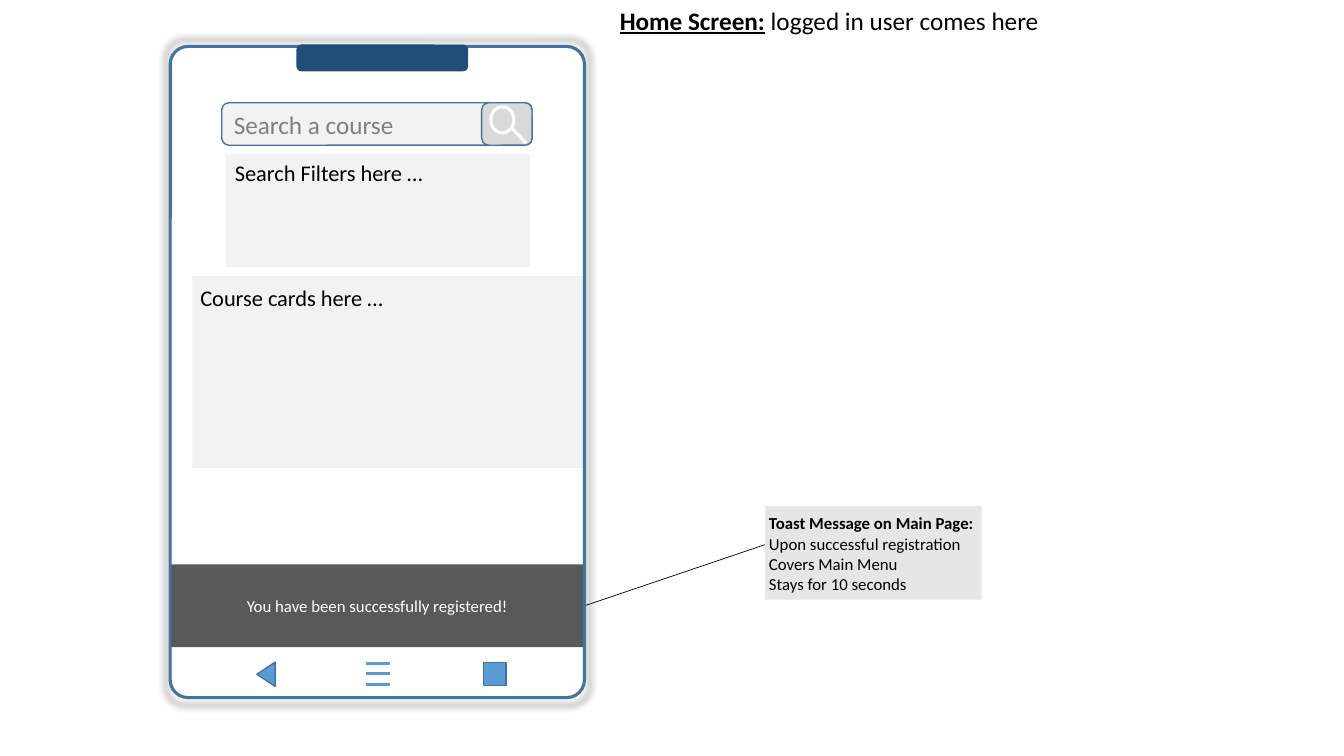
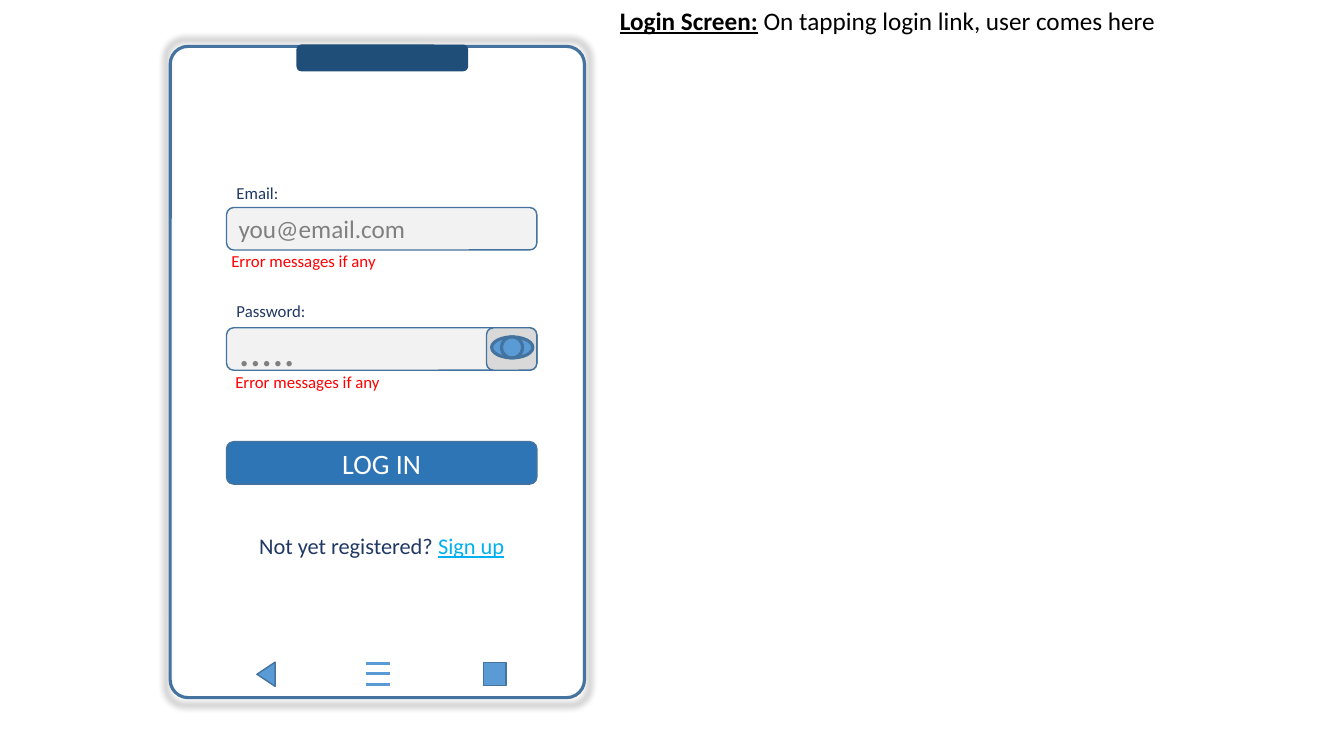
from lxml import etree
from pptx import Presentation
from pptx.dml.color import RGBColor
from pptx.enum.shapes import MSO_CONNECTOR as LINE, MSO_SHAPE as SHAPE
from pptx.enum.text import MSO_ANCHOR as ANCHOR, PP_ALIGN as ALIGN
from pptx.oxml import parse_xml
from pptx.oxml.ns import qn
from pptx.util import Cm, Pt

COLORS = {
    "black": "000000", "white": "FFFFFF", "panel": "F2F2F2", "key": "D9D9D9",
    "note": "E7E6E6", "toast": "595959", "hint": "808080", "outline": "43739E",
    "notch": "1F4E79", "icon": "5B9BD5", "button": "2E75B6", "label": "203864",
    "error": "FF0000", "link": "00B0F0",
}
PHONE = (4.29, 1.17, 10.44, 16.41)
FIELD_SIZE = (7.82, 1.07)
KEY_W = 1.27
HALO = """<a:effectLst xmlns:a="http://schemas.openxmlformats.org/drawingml/2006/main">
<a:outerShdw blurRad="63500" sx="102000" sy="102000" algn="ctr" rotWithShape="0">
<a:srgbClr val="000000"><a:alpha val="40000"/></a:srgbClr></a:outerShdw></a:effectLst>"""


def rgb(name):
    """Return the named palette colour."""
    return RGBColor.from_string(COLORS[name])


def write(sp, paragraphs, align=ALIGN.LEFT, anchor=ANCHOR.TOP, **margins):
    """Fill a shape with paragraphs, each a list of (text, format) runs."""
    tf = sp.text_frame
    frame = {"word_wrap": True, "vertical_anchor": anchor}
    frame.update({f"margin_{side}": Cm(v) for side, v in margins.items()})
    for name, value in frame.items():
        setattr(tf, name, value)
    for i, runs in enumerate(paragraphs):
        p = tf.add_paragraph() if i else tf.paragraphs[0]
        p.alignment = align
        for text, fmt in runs:
            r = p.add_run()
            r.text = text
            r.font.color.rgb = rgb(fmt.get("color", "black"))
            font = {"name": "Calibri", "size": Pt(fmt["size"]),
                    "bold": fmt.get("bold"), "underline": fmt.get("underline")}
            for name, value in font.items():
                setattr(r.font, name, value)


def add_shape(s, kind, box, fill=None, line=None, width=1):
    """Add a preset shape without shadow at a box in centimetres."""
    sp = s.shapes.add_shape(kind, *map(Cm, box))
    sp.shadow.inherit = False
    if fill:
        sp.fill.solid()
        sp.fill.fore_color.rgb = rgb(fill)
    else:
        sp.fill.background()
    if line:
        sp.line.color.rgb = rgb(line)
        sp.line.width = Pt(width)
    else:
        sp.line.fill.background()
    return sp


def add_line(s, start, end, color, width):
    """Add a straight connector without shadow between two points."""
    c = s.shapes.add_connector(LINE.STRAIGHT, *map(Cm, (*start, *end)))
    c.line.color.rgb = rgb(color)
    c.line.width = Pt(width)
    etree.SubElement(c._element.spPr, qn("a:effectLst"))


def add_text(s, box, runs, align=ALIGN.LEFT):
    """Add a one-paragraph text box."""
    write(s.shapes.add_textbox(*map(Cm, box)), [runs], align)


def add_title(s, name, description):
    """Add the screen name and its description at the top."""
    add_text(s, (15.37, 0, 16, 1.02), [
        (name, {"size": 18, "bold": True, "underline": True}),
        (" " + description, {"size": 18})])


def add_field(s, x, y, text, size=18, fill="panel", color="hint", align=ALIGN.LEFT):
    """Add a rounded input field or button."""
    sp = add_shape(s, SHAPE.ROUNDED_RECTANGLE, (x, y, *FIELD_SIZE), fill, "outline")
    write(sp, [[(text, {"size": size, "color": color})]], align, ANCHOR.MIDDLE)


def add_key(s, x, y):
    """Add the grey key at the right end of a field and return its left edge."""
    left = x + FIELD_SIZE[0] - KEY_W
    add_shape(s, SHAPE.ROUNDED_RECTANGLE, (left, y, KEY_W, FIELD_SIZE[1]), "key", "outline")
    return left


def add_search(s, x, y):
    """Add the search field with its magnifier."""
    add_field(s, x, y, "Search a course")
    left = add_key(s, x, y)
    add_shape(s, SHAPE.OVAL, (left + 0.23, y + 0.1, 0.58, 0.66), None, "white", 2.25)
    add_line(s, (left + 0.76, y + 0.64), (left + 1.12, y + 1.02), "white", 2.25)


def add_eye(s, x, y):
    """Add the show-password key with its eye."""
    left = add_key(s, x, y)
    for dx, w in ((0.13, 1.04), (0.38, 0.53)):
        add_shape(s, SHAPE.OVAL, (left + dx, y + 0.23, w, 0.53), "icon", "outline", 2.25)


def add_navigation(s, x, y):
    """Add the back, menu and home icons."""
    back = add_shape(s, SHAPE.ISOSCELES_TRIANGLE, (x, y + 0.07, 0.61, 0.46), "icon", "outline")
    back.rotation = 270
    add_shape(s, SHAPE.RECTANGLE, (x + 5.79, y, 0.56, 0.58), "icon", "outline")
    for i in range(3):
        bar_y = y + 0.02 + 0.27 * i
        add_line(s, (x + 2.82, bar_y), (x + 3.43, bar_y), "icon", 2)


def add_phone(s, box):
    """Add the phone outline, notch and navigation."""
    x, y, _, _ = box
    body = add_shape(s, SHAPE.ROUNDED_RECTANGLE, box, None, "outline", 2.25)
    body.adjustments[0] = 0.043
    props = body._element.spPr
    props.replace(props.find(qn("a:effectLst")), parse_xml(HALO))
    add_shape(s, SHAPE.ROUNDED_RECTANGLE, (x + 3.2, y - 0.03, 4.29, 0.64), "notch", "notch")
    add_navigation(s, x + 2.11, y + 15.52)


def add_panel(s, box, text, **margins):
    """Add a grey content placeholder."""
    sp = add_shape(s, SHAPE.RECTANGLE, box, "panel")
    write(sp, [[(text, {"size": 16})]], **margins)


def add_toast(s, x, y, w, h):
    """Add the toast message and the callout that explains it."""
    sp = add_shape(s, SHAPE.ROUNDED_RECTANGLE, (x, y, w, h), "toast")
    sp.adjustments[0] = 0.013
    write(sp, [[("You have been successfully registered!", {"size": 12, "color": "white"})]],
          ALIGN.CENTER, ANCHOR.MIDDLE)
    note_x, note_y = x + w + 4.55, y - 1.47
    add_line(s, (x + w, y + h / 2), (note_x + 0.1, note_y + 0.94), "black", 0.5)
    note = add_shape(s, SHAPE.RECTANGLE, (note_x, note_y, 5.46, 2.36), "note")
    rows = ["Toast Message on Main Page:", "Upon successful registration",
            "Covers Main Menu", "Stays for 10 seconds"]
    write(note, [[(row, {"size": 12, "bold": i == 0})] for i, row in enumerate(rows)],
          left=0.1, right=0, top=0.18)


def home_screen(s, box):
    """Build the home screen inside the phone box."""
    x, y, w, _ = box
    add_title(s, "Home Screen:", "logged in user comes here")
    add_toast(s, x, y + 13.05, w, 2.09)
    add_panel(s, (x + 0.56, y + 5.79, w - 0.56, 4.83), "Course cards here …",
              left=0.2, top=0.21)
    add_phone(s, box)
    add_search(s, x + 1.3, y + 1.42)
    add_panel(s, (x + 1.4, y + 2.72, 7.67, 2.84), "Search Filters here …", left=0.23)


def login_screen(s, box):
    """Build the login screen inside the phone box."""
    x, y, _, _ = box
    left = x + 1.42
    add_title(s, "Login Screen:", "On tapping login link, user comes here")
    add_phone(s, box)
    fields = [("Email:", "you@email.com", 18, 4.06, 0.76, -0.13),
              ("Password:", ".....", 32, 7.09, 0.81, -0.03)]
    for label, hint, size, dy, label_gap, error_dx in fields:
        top = y + dy
        add_field(s, left, top, hint, size)
        add_text(s, (left, top - label_gap, 3, 0.76), [(label, {"size": 12, "color": "label"})])
        add_text(s, (left + error_dx, top + 0.97, 7.87, 0.76),
                 [("Error messages if any", {"size": 12, "color": "error"})])
    add_eye(s, left, y + fields[-1][3])
    add_field(s, left, y + 9.96, "LOG IN", 20, "button", "white", ALIGN.CENTER)
    add_text(s, (left, y + 12.11, FIELD_SIZE[0], 0.94), [
        ("Not yet registered? ", {"size": 16, "color": "label"}),
        ("Sign up", {"size": 16, "color": "link", "underline": True})], ALIGN.CENTER)


def main():
    """Build both screens and save them."""
    prs = Presentation()
    prs.slide_width, prs.slide_height = Cm(33.87), Cm(19.05)
    for build in (home_screen, login_screen):
        build(prs.slides.add_slide(prs.slide_layouts[6]), PHONE)
    prs.save("out.pptx")


if __name__ == "__main__":
    main()
